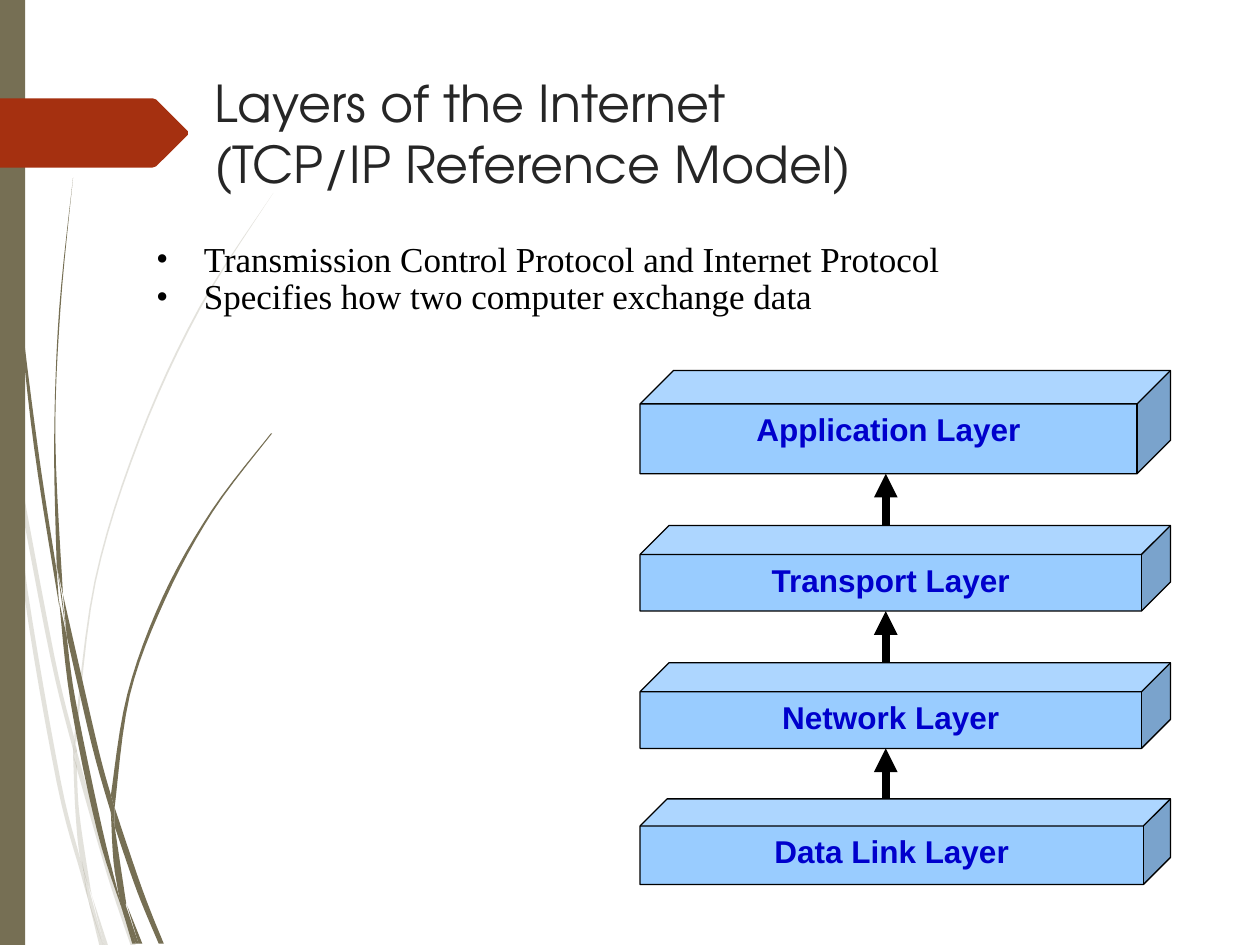
from pptx import Presentation
from pptx.dml.color import RGBColor
from pptx.enum.shapes import MSO_CONNECTOR, MSO_SHAPE
from pptx.enum.text import MSO_ANCHOR, PP_ALIGN
from pptx.oxml.ns import qn
from pptx.util import Inches, Pt
from lxml.etree import SubElement

WIDE, HIGH = Inches(10), Inches(7.5)
COLS = 10
INK = {"olive": "766F54", "rust": "A53010", "head": "262626", "text": "000000",
       "cube": "99CCFF", "label": "0000CC"}

PALE = [
    ([(.08, 3.5), (.06, 3.22), (0, 2.82)], [(0, 2.99), (.07, 3.44)]),
    ([(.59, 5.99), (.4, 5.22), (.12, 3.76)], [(.1, 3.45), (.43, 5.2), (.59, 5.86)]),
    ([(1.04, 7.51), (.85, 6.94), (.61, 6.1)], [(.61, 5.96), (.88, 6.92), (1.08, 7.51)]),
    ([(.83, 7.51), (.73, 7.11)], [(.86, 7.51)]),
    ([(.7, 7.14), (.64, 6.93), (.45, 6.21), (.19, 4.7), (.08, 3.5)],
     [(.12, 3.76), (.22, 4.69), (.48, 6.19), (.64, 6.83), (.69, 7.07)]),
    ([(.73, 7.11), (.64, 6.83), (.6, 6.46), (.58, 5.99)],
     [(.61, 6.08), (.63, 6.46), (.72, 7.06)]),
    ([(.61, 5.96), (.61, 5.84), (.76, 4.62), (1.11, 3.49), (1.59, 2.45), (2.17, 1.53)],
     [(2.17, 1.53), (1.58, 2.44), (1.1, 3.48), (.75, 4.61), (.59, 5.84)]),
    ([(.79, 7.51), (.7, 7.14)], [(.82, 7.51)]),
    ([(.61, 6.1), (.58, 5.99)], [(.59, 5.86), (.61, 5.96)]),
    ([(.82, 7.51), (.7, 7.14), (.65, 6.83)], [(.67, 6.92), (.83, 7.51)]),
]
DARK = [
    ([(.47, 4.81), (.27, 3.55), (.14, 2.33), (.05, 1.1), (.02, 0)],
     [(.03, 0), (.06, 1.09), (.15, 2.32), (.3, 3.55), (.45, 4.53)]),
    ([(.88, 6.45), (.73, 5.92), (.53, 5.05)], [(.5, 4.72), (.77, 5.9), (.88, 6.31)]),
    ([(1.26, 7.49), (1.09, 7.08), (.91, 6.56)], [(.91, 6.41), (1.13, 7.06), (1.3, 7.49)]),
    ([(.97, 7.22), (.77, 6.59), (.56, 5.57), (.47, 4.77)],
     [(.53, 5.05), (.6, 5.56), (.81, 6.57), (.96, 7.17)]),
    ([(.5, 4.72), (.44, 3.49), (.48, 2.45), (.58, 1.41)],
     [(.58, 1.41), (.47, 2.45), (.43, 3.49), (.45, 4.49)]),
    ([(1.1, 7.49), (1.01, 7.19)], [(1.13, 7.49)]),
    ([(.53, 5.05), (.45, 4.49)], [(.49, 4.72), (.53, 5.05)]),
    ([(.91, 6.41), (1.03, 5.52), (1.31, 4.76), (1.69, 4.06), (2.16, 3.44)],
     [(2.15, 3.44), (1.68, 4.05), (1.29, 4.74), (1.01, 5.51), (.88, 6.31)]),
    ([(1.05, 7.49), (.97, 7.22)], [(1.08, 7.49)]),
    ([(1, 7.19), (.91, 6.91), (.88, 6.45)], [(.91, 6.56), (1, 7.16)]),
    ([(.91, 6.56), (.88, 6.45)], [(.88, 6.31), (.91, 6.41)]),
    ([(1.08, 7.49), (.97, 7.22), (.91, 6.91)], [(1, 7.19), (1.1, 7.49)]),
]
TAG = [(0, .78), (1.21, .78), (1.24, .79), (1.49, 1.04), (1.49, 1.07),
       (1.24, 1.32), (1.21, 1.33), (0, 1.33)]
LAYERS = [("Application Layer", 2.94, .82, .324), ("Transport Layer", 4.17, .68, .339),
          ("Network Layer", 5.26, .68, .339), ("Data Link Layer", 6.34, .68, .317)]


def grid(*cells):
    """Turn grid counts into slide lengths."""
    return [round(n * WIDE / COLS) for n in cells]


def hue(name):
    """Look up a colour."""
    return RGBColor.from_string(INK[name])


def paint(shape, name, edge=None, alpha=None):
    """Fill a shape, with an optional edge and opacity in percent."""
    shape.shadow.inherit = False
    shape.fill.solid()
    shape.fill.fore_color.rgb = hue(name)
    if alpha:
        clr = shape.fill._xPr.find(qn("a:solidFill"))[0]
        SubElement(clr, qn("a:alpha"), val=str(alpha * 1000))
    if edge:
        shape.line.color.rgb = hue(edge)
        shape.line.width = Pt(.75)
    else:
        shape.line.fill.background()


def curve(knots, steps=6):
    """Run a smooth curve through the knots."""
    ends = [knots[0], *knots, knots[-1]]
    pts = [knots[0]]
    for a, b, c, d in zip(ends, ends[1:], ends[2:], ends[3:]):
        for t in (n / steps for n in range(1, steps + 1)):
            pts.append(tuple(
                q + t / 2 * (r - p + t * (2 * p - 5 * q + 4 * r - s
                                          + t * (3 * (q - r) + s - p)))
                for p, q, r, s in zip(a, b, c, d)))
    return pts


def trace(slide, pts, name, alpha=None):
    """Draw a closed outline."""
    first, *rest = [tuple(grid(*p)) for p in pts]
    pen = slide.shapes.build_freeform(*first, scale=1.0)
    pen.add_line_segments(rest, close=True)
    paint(pen.convert_to_shape(), name, alpha=alpha)


def write(shape, lines, font, size, ink, bold=False, align=PP_ALIGN.LEFT,
          space=None, dot=None):
    """Put formatted paragraphs into a shape."""
    frame = shape.text_frame
    frame.word_wrap = True
    frame.vertical_anchor = MSO_ANCHOR.TOP
    for i, line in enumerate(lines):
        para = frame.add_paragraph() if i else frame.paragraphs[0]
        para.text = line
        para.alignment = align
        if space:
            para.line_spacing = space
        if dot:
            props = para._p.get_or_add_pPr()
            left, hang = grid(.44, -.38)
            props.set("marL", str(left))
            props.set("indent", str(hang))
            SubElement(props, qn("a:buFont"), typeface=font)
            SubElement(props, qn("a:buChar"), char=dot)
        para.font.name, para.font.size, para.font.bold = font, Pt(size), bold
        para.font.color.rgb = hue(ink)


def cube(slide, label, top, high, depth):
    """Draw one layer of the model."""
    box = slide.shapes.add_shape(MSO_SHAPE.CUBE, *grid(5.08, top, 4.21, high))
    box.adjustments[0] = depth
    paint(box, "cube", edge="text")
    write(box, [label], "Arial", 18, "label", bold=True, align=PP_ALIGN.CENTER)


def arrow(slide, x, start, end):
    """Draw a thick upright arrow."""
    line = slide.shapes.add_connector(MSO_CONNECTOR.STRAIGHT, *grid(x, start, x, end))
    line.line.color.rgb = hue("text")
    line.line.width = Pt(4.5)
    SubElement(line.line._get_or_add_ln(), qn("a:tailEnd"), type="triangle")
    SubElement(line._element.spPr, qn("a:effectLst"))


def main():
    """Build the slide."""
    deck = Presentation()
    deck.slide_width, deck.slide_height = WIDE, HIGH
    slide = deck.slides.add_slide(deck.slide_layouts[6])
    for blades, alpha in ((PALE, 20), (DARK, None)):
        for near, far in blades:
            trace(slide, curve(near) + curve(far), "olive", alpha)
    bar = slide.shapes.add_shape(MSO_SHAPE.RECTANGLE, 0, 0, *grid(.2, 7.5))
    paint(bar, "olive")
    trace(slide, TAG, "rust")
    head = slide.shapes.add_textbox(*grid(1.6, .52, 7.68, 1.08))
    write(head, ["Layers of the Internet\v(TCP/IP Reference Model)"],
          "TeX Gyre Adventor", 29, "head")
    for layer in reversed(LAYERS):
        cube(slide, *layer)
    for (_, top, high, _), (_, start, _, _) in zip(LAYERS, LAYERS[1:]):
        arrow(slide, 7.03, start, top + high)
    body = slide.shapes.add_textbox(*grid(1.08, 1.87, 6.5, .7))
    write(body, ["Transmission Control Protocol and Internet Protocol",
                 "Specifies how two computer exchange data"],
          "Times New Roman", 20, "text", space=.9, dot="•")
    deck.save("out.pptx")


if __name__ == "__main__":
    main()
